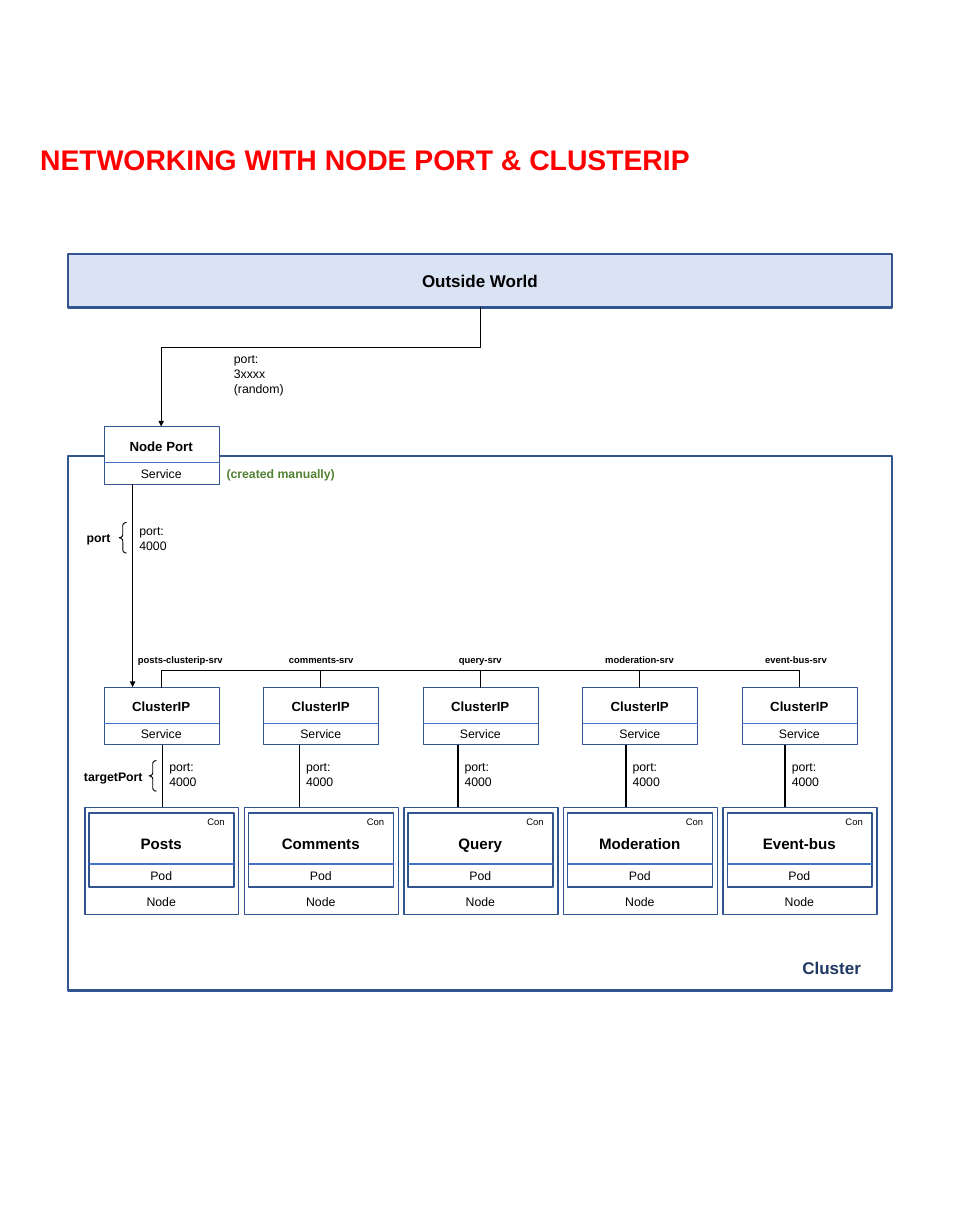
from lxml import etree
from pptx import Presentation
from pptx.dml.color import RGBColor
from pptx.enum import shapes, text
from pptx.oxml import ns
from pptx.util import Inches, Pt

BLACK = RGBColor(0x00, 0x00, 0x00)
WHITE = RGBColor(0xFF, 0xFF, 0xFF)
RED = RGBColor(0xFF, 0x00, 0x00)
GREEN = RGBColor(0x54, 0x82, 0x35)
NAVY = RGBColor(0x20, 0x38, 0x64)
BORDER = RGBColor(0x32, 0x54, 0x91)
DIVIDER = RGBColor(0x44, 0x72, 0xC4)
PALE_BLUE = RGBColor(0xDA, 0xE3, 0xF3)

FIRST_CENTER, PITCH = 2.37, 2.345
SERVICE_TOP, SERVICE_HEIGHT = 10.1, 0.85
NODE_TOP = 11.87
BUS_Y = 9.85

# Pod name, service name, centre of the service label, x of the port line
COLUMNS = [
    ("Posts", "posts-clusterip-srv", 2.65, 2.39),
    ("Comments", "comments-srv", 4.72, 4.4),
    ("Query", "query-srv", 7.06, 6.73),
    ("Moderation", "moderation-srv", 9.4, 9.2),
    ("Event-bus", "event-bus-srv", 11.7, 11.54),
]


class Diagram:
    """Draws the elements of the diagram on one slide in a common style."""

    font = "Arial"

    def __init__(self, slide):
        self.slide = slide

    def set_text(self, shape, lines, size, color=BLACK, bold=False, align=text.PP_ALIGN.CENTER):
        frame = shape.text_frame
        frame.word_wrap = True
        frame.text = lines
        for paragraph in frame.paragraphs:
            paragraph.alignment = align
            font = paragraph.font
            font.name, font.size, font.bold = self.font, Pt(size), bold
            font.color.rgb = color
        return frame

    def title(self, words, left, top, width, height):
        shape = self.slide.shapes.title
        shape.left, shape.top = Inches(left), Inches(top)
        shape.width, shape.height = Inches(width), Inches(height)
        frame = self.set_text(shape, words, 30, RED, True, text.PP_ALIGN.LEFT)
        frame.auto_size = text.MSO_AUTO_SIZE.NONE
        frame.vertical_anchor = text.MSO_ANCHOR.TOP

    def label(self, words, left, top, width, height, size=13, **style):
        shape = self.slide.shapes.add_textbox(
            Inches(left), Inches(top), Inches(width), Inches(height))
        self.set_text(shape, words, size, **style)

    def centered(self, words, center, top, width, height, size=13, **style):
        self.label(words, center - width / 2, top, width, height, size, **style)

    def box(self, left, top, width, height, line_width, fill=None,
            kind=shapes.MSO_SHAPE.RECTANGLE, color=BORDER):
        shape = self.slide.shapes.add_shape(
            kind, Inches(left), Inches(top), Inches(width), Inches(height))
        shape.shadow.inherit = False
        if fill is None:
            shape.fill.background()
        else:
            shape.fill.solid()
            shape.fill.fore_color.rgb = fill
        shape.line.color.rgb = color
        shape.line.width = Pt(line_width)
        return shape

    def brace(self, left, top):
        shape = self.box(left, top, 0.11, 0.45, 1,
                         kind=shapes.MSO_SHAPE.LEFT_BRACE, color=BLACK)
        shape.adjustments[0] = 0.4

    def line(self, start, end, width=1, color=BLACK, arrow=False,
             kind=shapes.MSO_CONNECTOR.STRAIGHT):
        connector = self.slide.shapes.add_connector(
            kind, *(Inches(value) for value in (*start, *end)))
        connector.line.color.rgb = color
        connector.line.width = Pt(width)
        properties = connector._element.spPr
        etree.SubElement(properties, ns.qn("a:effectLst"))
        if arrow:
            outline = properties.find(ns.qn("a:ln"))
            etree.SubElement(outline, ns.qn("a:tailEnd"), type="triangle")
        return connector

    def elbow(self, start, end, turn_y, arrow=False):
        """Connector that leaves vertically, crosses at turn_y and arrives vertically."""
        (x1, y1), (x2, y2) = start, end
        middle_x, middle_y = (x1 + x2) / 2, (y1 + y2) / 2
        half_x, half_y = (x2 - x1) / 2, (y2 - y1) / 2
        connector = self.line((middle_x - half_y, middle_y + half_x),
                              (middle_x + half_y, middle_y - half_x),
                              arrow=arrow, kind=shapes.MSO_CONNECTOR.ELBOW)
        properties = connector._element.spPr
        properties.find(ns.qn("a:xfrm")).set("rot", str(90 * 60000))
        geometry = properties.find(ns.qn("a:prstGeom"))
        guides = geometry.find(ns.qn("a:avLst"))
        if guides is None:
            guides = etree.SubElement(geometry, ns.qn("a:avLst"))
        ratio = round((turn_y - y1) / (y2 - y1) * 100000)
        etree.SubElement(guides, ns.qn("a:gd"), name="adj1", fmla=f"val {ratio}")

    def service(self, name, center, top, fill=None):
        left, width = center - 0.84, 1.69
        self.box(left, top, width, SERVICE_HEIGHT, 1, fill)
        self.line((left, top + 0.53), (left + width, top + 0.53), color=DIVIDER)
        self.centered("Service", center, top + 0.53, 0.84, 0.32)
        self.centered(name, center, top + 0.12, 1.34, 0.34, 14, bold=True)

    def node(self, name, center):
        left, width = center - 1.06, 2.13
        self.box(left, NODE_TOP + 0.08, width, 1.09, 1.5)
        self.line((left, 12.7), (left + width, 12.7), 1.5, DIVIDER)
        self.centered("Pod", center, 12.72, 0.74, 0.32)
        self.box(center - 1.12, NODE_TOP, 2.26, 1.57, 1.5)
        self.centered("Node", center, 13.09, 1.24, 0.32)
        self.centered(name, center, 12.21, 1.83, 0.37, 16, bold=True)
        self.label("Con", center + 0.54, 11.95, 0.53, 0.27, 10)

    def port(self, words, left, top, width=0.82, height=0.54):
        self.label(words, left, top, width, height, align=text.PP_ALIGN.LEFT)


def main():
    presentation = Presentation()
    presentation.slide_width, presentation.slide_height = Inches(14.17), Inches(18.11)
    slide = presentation.slides.add_slide(presentation.slide_layouts[5])
    diagram = Diagram(slide)
    diagram.title("NETWORKING WITH NODE PORT & CLUSTERIP", 0.49, 2.04, 13.26, 0.61)

    # Outside world and cluster frame
    outside = diagram.box(1, 3.73, 12.11, 0.79, 2.25, PALE_BLUE)
    frame = diagram.set_text(outside, "Outside World", 18, bold=True)
    frame.vertical_anchor = text.MSO_ANCHOR.MIDDLE
    diagram.box(1, 6.7, 12.11, 7.86, 2.25)
    diagram.label("Cluster", 11.32, 14.02, 1.81, 0.43, 18, color=NAVY, bold=True)

    # Node port and the way into the cluster
    diagram.service("Node Port", FIRST_CENTER, 6.27, WHITE)
    diagram.label("(created manually)", 3.18, 6.81, 1.89, 0.32, color=GREEN, bold=True)
    diagram.elbow((7.06, 4.52), (FIRST_CENTER, 6.27), 5.11, arrow=True)
    diagram.port("port: 3xxxx\n(random)", 3.34, 5.12, 0.96, 0.76)
    diagram.line((1.95, 7.12), (1.95, SERVICE_TOP), arrow=True)
    diagram.port("port: 4000", 1.95, 7.64)

    # Services with their nodes
    centers = [FIRST_CENTER + PITCH * index for index in range(len(COLUMNS))]
    for center, (pod, service, label_center, port_x) in zip(centers, COLUMNS):
        diagram.centered(service, label_center, 9.57, 1.57, 0.27, 10, bold=True)
        diagram.service("ClusterIP", center, SERVICE_TOP)
        diagram.node(pod, center)
        diagram.line((port_x, SERVICE_TOP + SERVICE_HEIGHT), (port_x, NODE_TOP), 1.5)
        diagram.port("port: 4000", port_x, 11.11)

    # Links between neighbouring services
    for left, right in zip(centers, centers[1:]):
        diagram.elbow((left, SERVICE_TOP + 0.01), (right, SERVICE_TOP), BUS_Y)

    # Braces that name the ports
    diagram.brace(1.75, 7.68)
    diagram.label("port", 1.1, 7.74, 0.7, 0.32, bold=True)
    diagram.brace(2.19, 11.18)
    diagram.label("targetPort", 1.08, 11.26, 1.17, 0.32, bold=True)

    presentation.save("out.pptx")


if __name__ == "__main__":
    main()
